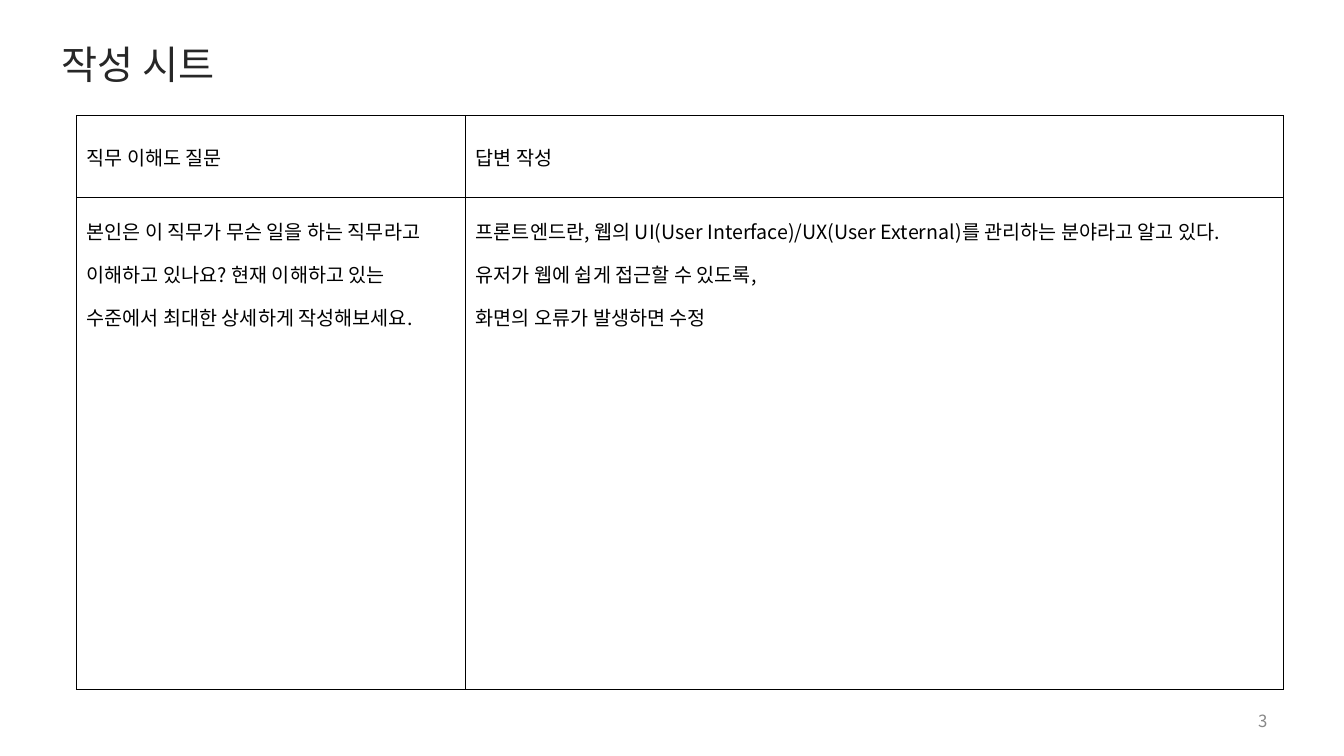
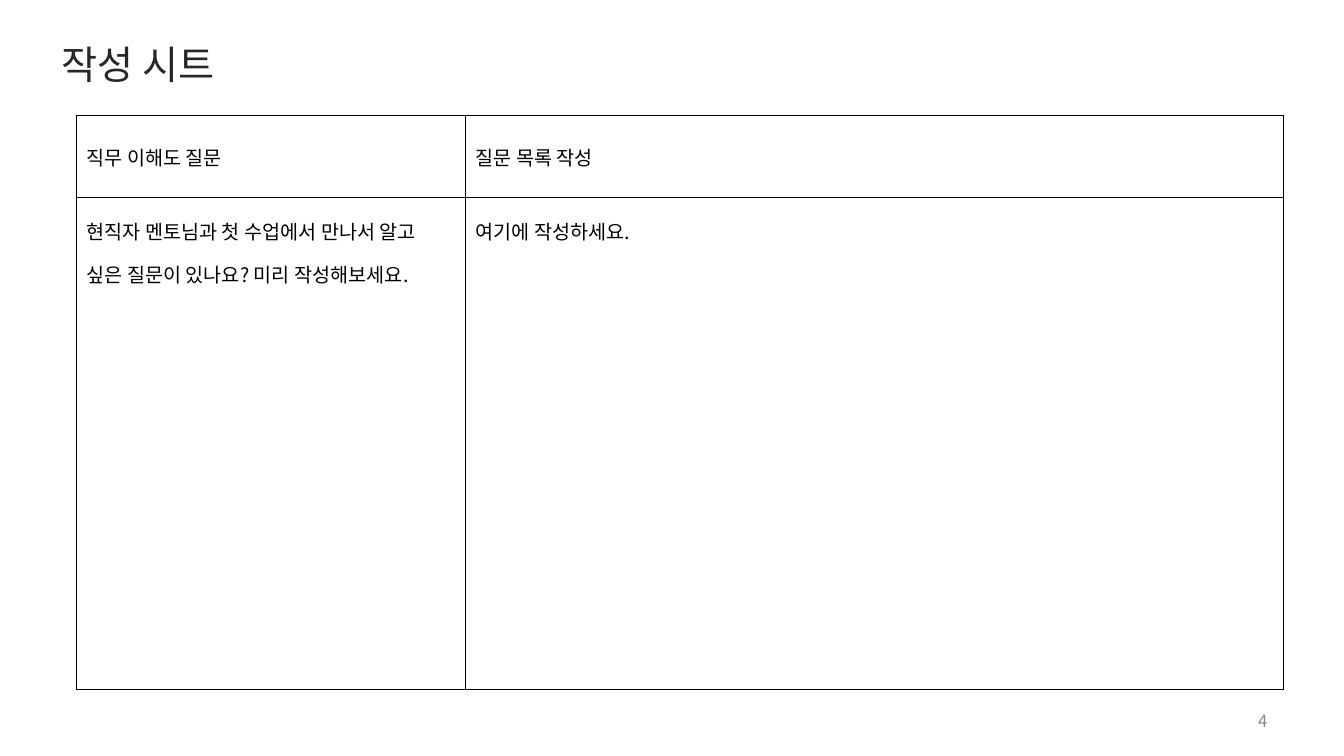
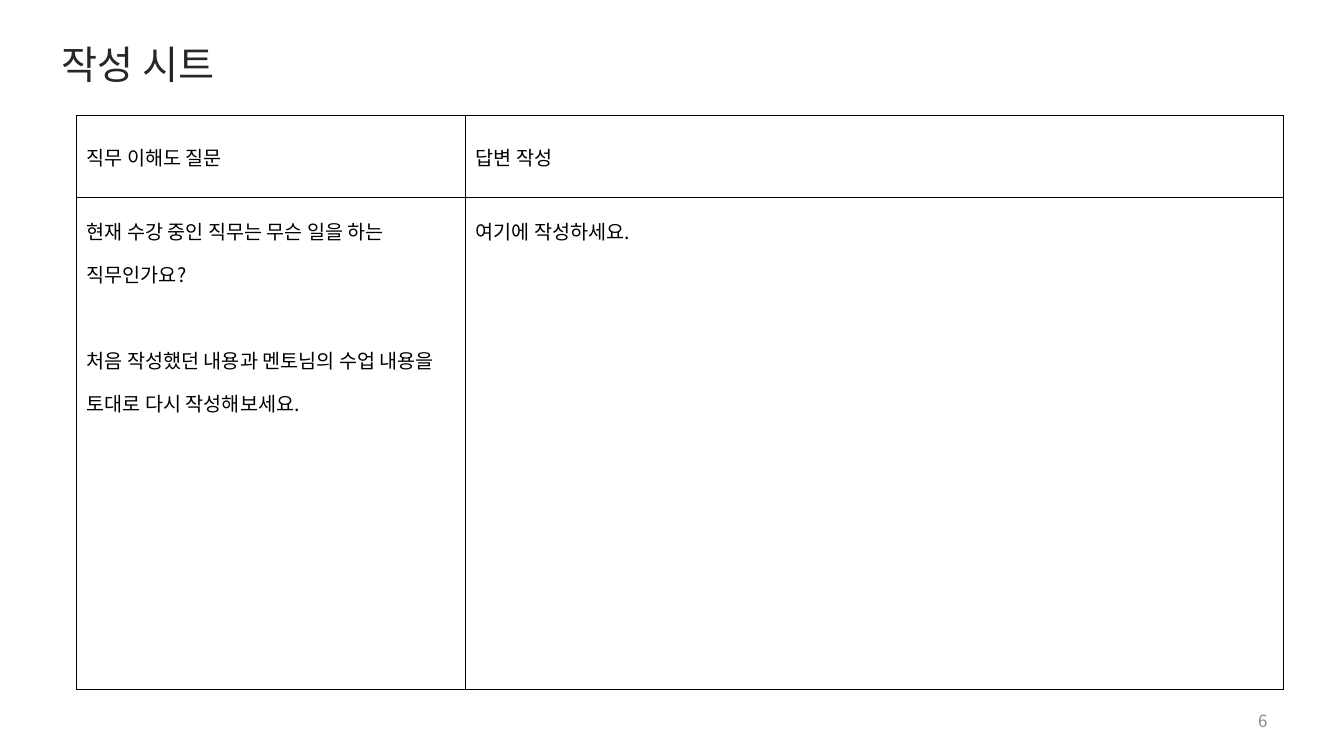
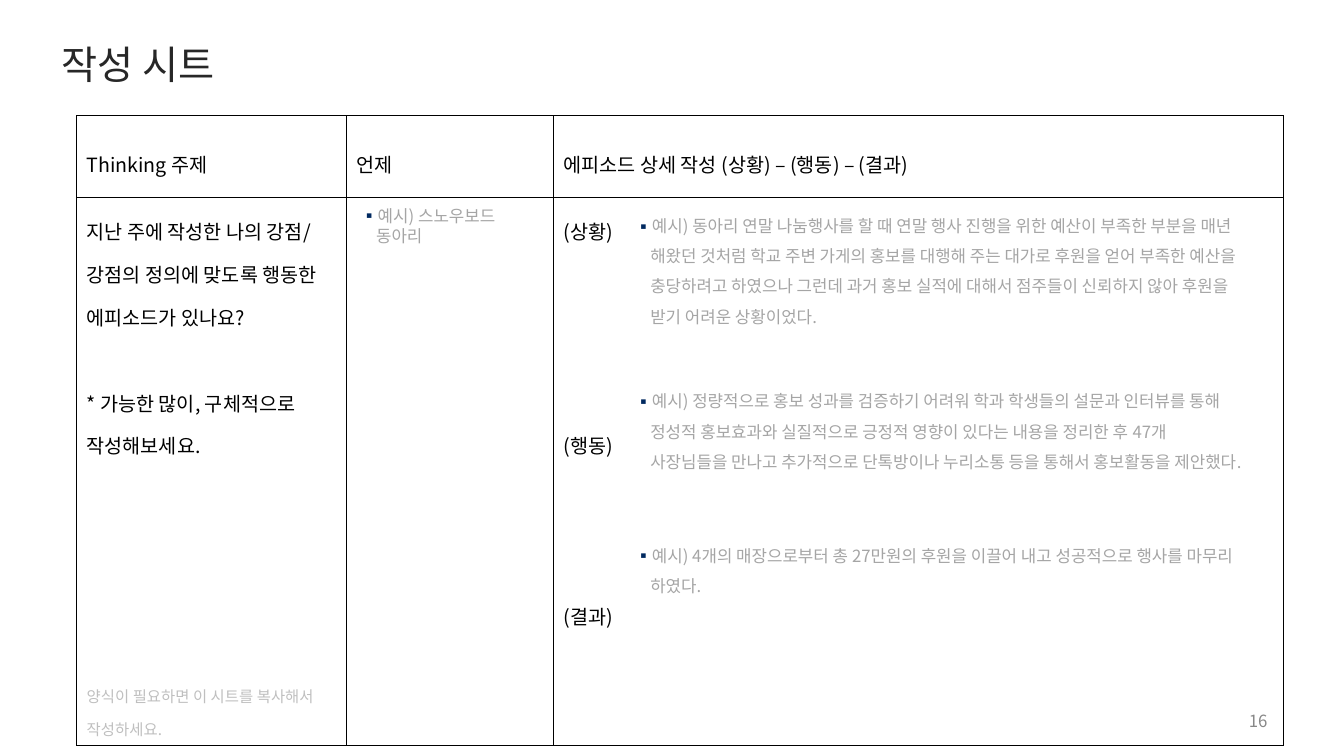
from lxml import etree
from pptx import Presentation
from pptx import util as u
from pptx.dml.color import RGBColor
from pptx.enum import text
from pptx.oxml.ns import qn

FONT = "Noto Sans CJK KR"
COLORS = {"title": "272727", "body": "000000", "border": "000000", "number": "888888",
          "example": "A5A5A5", "hint": "BFBFBF", "bullet": "002960"}
STYLES = {"title": (28, "title"), "body": (14, "body"), "number": (12, "number"),
          "example": (12, "example"), "hint": (11, "hint")}

TITLE = "작성 시트"
QUESTION = "직무 이해도 질문"
WRITE_HERE = ["여기에 작성하세요."]
TWO_COLUMNS, THREE_COLUMNS = (3.86, 8.11), (2.68, 2.05, 7.24)
SHORT_ROWS, TALL_ROWS = (0.81, 4.88), (0.81, 5.44)
TABLE_LEFT, TABLE_TOP = 0.76, 1.15
CELL_INSET = (0.1, 0.05, 0.1, 0.05)
BODY_LINE = 30.5  # points taken by one line of body text at 1.5 spacing

# A body paragraph is a string, or (string, lines of space above, style).
SHEETS = [
    {"number": 3, "columns": TWO_COLUMNS, "rows": SHORT_ROWS, "heads": (QUESTION, "답변 작성"),
     "bodies": (
         ["본인은 이 직무가 무슨 일을 하는 직무라고 이해하고 있나요? 현재 이해하고 있는 수준에서 최대한 상세하게 작성해보세요."],
         ["프론트엔드란, 웹의 UI(User Interface)/UX(User External)를 관리하는 분야라고 알고 있다.",
          "유저가 웹에 쉽게 접근할 수 있도록,",
          "화면의 오류가 발생하면 수정"])},
    {"number": 4, "columns": TWO_COLUMNS, "rows": SHORT_ROWS, "heads": (QUESTION, "질문 목록 작성"),
     "bodies": (
         ["현직자 멘토님과 첫 수업에서 만나서 알고 싶은 질문이 있나요? 미리 작성해보세요."],
         WRITE_HERE)},
    {"number": 6, "columns": TWO_COLUMNS, "rows": SHORT_ROWS, "heads": (QUESTION, "답변 작성"),
     "bodies": (
         ["현재 수강 중인 직무는 무슨 일을 하는 직무인가요?",
          ("처음 작성했던 내용과 멘토님의 수업 내용을 토대로 다시 작성해보세요.", 1, "body")],
         WRITE_HERE)},
    {"number": 16, "columns": THREE_COLUMNS, "rows": TALL_ROWS, "head_spacing": 1.5,
     "heads": ("Thinking 주제", "언제", "에피소드 상세 작성 (상황) – (행동) – (결과)"),
     "bodies": (
         ["지난 주에 작성한 나의 강점/ 강점의 정의에 맞도록 행동한 에피소드가 있나요?",
          ("* 가능한 많이, 구체적으로 작성해보세요.", 1, "body"),
          ("양식이 필요하면 이 시트를 복사해서 작성하세요.", 5, "hint")],
         [],
         ["(상황)", ("(행동)", 4, "body"), ("(결과)", 3, "body")]),
     "examples": [
         ((6.3, 2.04, 6.04, 1.21), 1.5,
          "예시) 동아리 연말 나눔행사를 할 때 연말 행사 진행을 위한 예산이 부족한 부분을 매년 해왔던 것처럼 학교 주변 가게의 홍보를 대행해 주는 대가로 후원을 얻어 부족한 예산을 충당하려고 하였으나 그런데 과거 홍보 실적에 대해서 점주들이 신뢰하지 않아 후원을 받기 어려운 상황이었다."),
         ((6.3, 3.78, 6.04, 1.21), 1.5,
          "예시) 정량적으로 홍보 성과를 검증하기 어려워 학과 학생들의 설문과 인터뷰를 통해 정성적 홍보효과와 실질적으로 긍정적 영향이 있다는 내용을 정리한 후 47개 사장님들을 만나고 추가적으로 단톡방이나 누리소통 등을 통해서 홍보활동을 제안했다."),
         ((6.3, 5.31, 6.04, 0.61), 1.5,
          "예시) 4개의 매장으로부터 총 27만원의 후원을 이끌어 내고 성공적으로 행사를 마무리 하였다."),
         ((3.58, 2.04, 1.75, 0.4), 1.0, "예시) 스노우보드 동아리")]},
]


def child(parent, tag, **attributes):
    return etree.SubElement(parent, qn(tag), attributes)


def write(paragraph, words, style, spacing=1.0, lines_above=0):
    size, color = STYLES[style]
    paragraph.text = words
    paragraph.line_spacing = spacing
    if lines_above:
        paragraph.space_before = u.Pt(lines_above * BODY_LINE)
    font = paragraph.font
    font.size, font.name = u.Pt(size), FONT
    font.color.rgb = RGBColor.from_string(COLORS[color])
    properties = paragraph._p.pPr.find(qn("a:defRPr"))
    properties.set("kern", "0")
    child(properties, "a:ea", typeface=FONT)


def add_bullet(paragraph):
    properties = paragraph._p.get_or_add_pPr()
    indent = u.Inches(0.15)
    properties.set("marL", str(indent))
    properties.set("indent", str(-indent))
    child(child(properties, "a:buClr"), "a:srgbClr", val=COLORS["bullet"])
    child(properties, "a:buFont", typeface=FONT)
    child(properties, "a:buChar", char="▪")


def add_text(slide, box, words, style, spacing=1.0, inset=(0, 0, 0, 0), bullet=False):
    frame = slide.shapes.add_textbox(*map(u.Inches, box)).text_frame
    frame.word_wrap = True
    (frame.margin_left, frame.margin_top,
     frame.margin_right, frame.margin_bottom) = map(u.Inches, inset)
    if bullet:
        add_bullet(frame.paragraphs[0])
    write(frame.paragraphs[0], words, style, spacing)
    return frame


def add_borders(cell):
    properties = cell._tc.get_or_add_tcPr()
    for place, side in enumerate("LRTB"):
        line = etree.Element(qn(f"a:ln{side}"), w=str(u.Pt(0.75)))
        child(child(line, "a:solidFill"), "a:srgbClr", val=COLORS["border"])
        properties.insert(place, line)


def add_sheet_table(slide, sheet):
    columns, rows = sheet["columns"], sheet["rows"]
    box = (TABLE_LEFT, TABLE_TOP, sum(columns), sum(rows))
    table = slide.shapes.add_table(len(rows), len(columns), *map(u.Inches, box)).table
    table.first_row = table.horz_banding = False
    for row, height in zip(table.rows, rows):
        row.height = u.Inches(height)
    for index, width in enumerate(columns):
        table.columns[index].width = u.Inches(width)
        head, body = table.cell(0, index), table.cell(1, index)
        for cell in (head, body):
            cell.fill.background()
            add_borders(cell)
        head.vertical_anchor = text.MSO_ANCHOR.MIDDLE
        write(head.text_frame.paragraphs[0], sheet["heads"][index], "body",
              sheet.get("head_spacing", 1.0))
        for order, entry in enumerate(sheet["bodies"][index]):
            words, lines_above, style = (entry, 0, "body") if isinstance(entry, str) else entry
            frame = body.text_frame
            paragraph = frame.add_paragraph() if order else frame.paragraphs[0]
            write(paragraph, words, style, 1.5, lines_above)


def add_sheet(deck, sheet):
    slide = deck.slides.add_slide(deck.slide_layouts[6])
    number = add_text(slide, (9.56, 6.95, 3.11, 0.4), str(sheet["number"]), "number",
                      inset=CELL_INSET)
    number.vertical_anchor = text.MSO_ANCHOR.MIDDLE
    number.paragraphs[0].alignment = text.PP_ALIGN.RIGHT
    add_sheet_table(slide, sheet)
    for box, spacing, words in sheet.get("examples", []):
        add_text(slide, box, words, "example", spacing, bullet=True)
    add_text(slide, (0.61, 0.4, 12.11, 0.47), TITLE, "title")


def main():
    deck = Presentation()
    deck.slide_width, deck.slide_height = u.Inches(13.33), u.Inches(7.5)
    for sheet in SHEETS:
        add_sheet(deck, sheet)
    deck.save("out.pptx")


if __name__ == "__main__":
    main()
